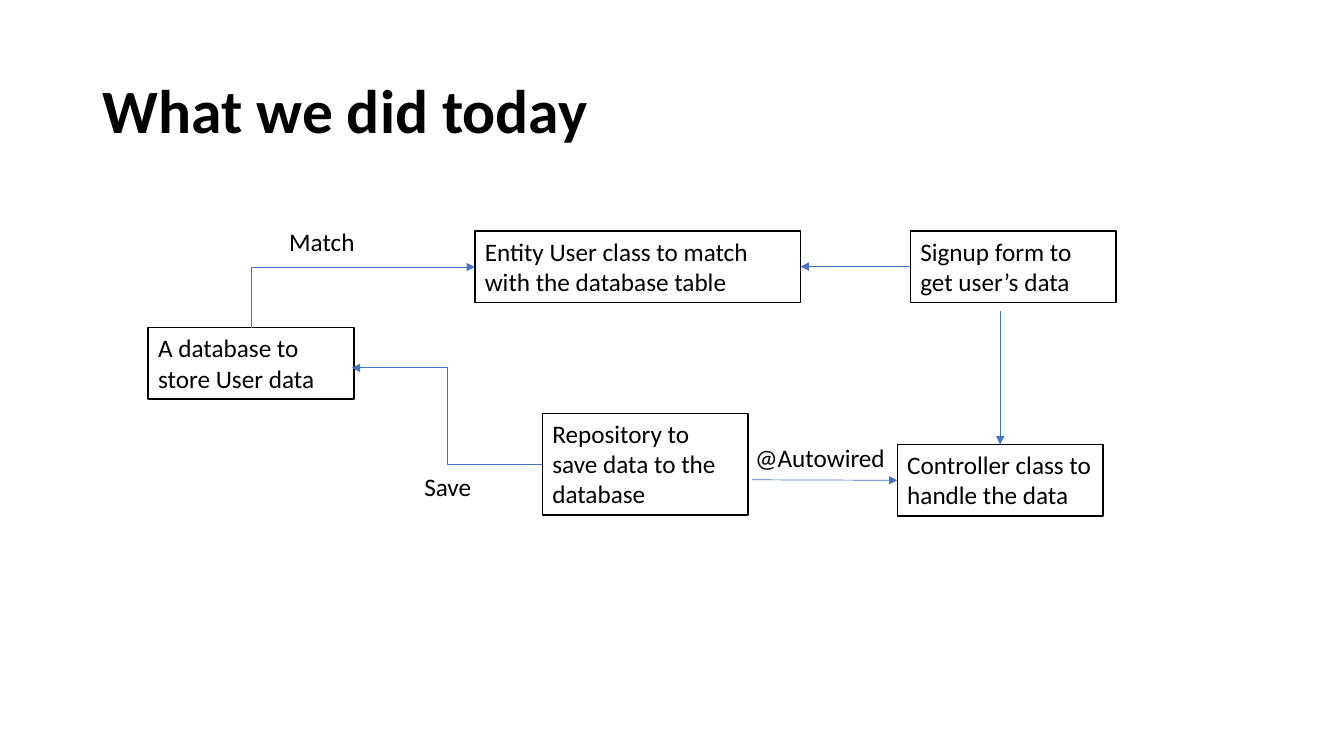
from dataclasses import dataclass

from lxml import etree
from pptx import Presentation
from pptx.dml.color import RGBColor
from pptx.enum.shapes import MSO_CONNECTOR, MSO_SHAPE
from pptx.enum.text import MSO_ANCHOR, MSO_AUTO_SIZE, PP_ALIGN
from pptx.oxml.ns import qn
from pptx.util import Inches, Pt

STRAIGHT, ELBOW = MSO_CONNECTOR.STRAIGHT, MSO_CONNECTOR.ELBOW
RECTANGLE = MSO_SHAPE.RECTANGLE
TOP, MIDDLE = MSO_ANCHOR.TOP, MSO_ANCHOR.MIDDLE
FIT_TEXT, NO_FIT = MSO_AUTO_SIZE.SHAPE_TO_FIT_TEXT, MSO_AUTO_SIZE.NONE
LEFT_ALIGNED = PP_ALIGN.LEFT
SITE_TOP, SITE_LEFT, SITE_RIGHT = 0, 1, 3


@dataclass(frozen=True)
class Theme:
    """Hold the colours, font and sizes of the slide."""
    font: str = "Calibri"
    ink: RGBColor = RGBColor(0, 0, 0)
    paper: RGBColor = RGBColor(255, 255, 255)
    arrow: RGBColor = RGBColor(0x44, 0x72, 0xC4)
    title_size: float = 44
    body_size: float = 18
    border_width: float = 1
    arrow_width: float = 0.5


@dataclass(frozen=True)
class Grid:
    """Divide a region into columns and rows."""
    left: float
    top: float
    width: float
    height: float
    columns: int
    rows: int

    def point(self, column, row):
        """Return the slide position of a grid point."""
        return (Inches(self.left + column * self.width / self.columns),
                Inches(self.top + row * self.height / self.rows))

    def area(self, column, row, columns, rows):
        """Return left, top, width and height of a grid area."""
        return (*self.point(column, row),
                Inches(columns * self.width / self.columns),
                Inches(rows * self.height / self.rows))


THEME = Theme()


def write(box, text, size=THEME.body_size, bold=False, anchor=TOP,
          fit=FIT_TEXT, spacing=1.0):
    """Put formatted text in a box."""
    frame = box.text_frame
    frame.word_wrap = True
    frame.auto_size = fit
    frame.vertical_anchor = anchor
    para = frame.paragraphs[0]
    para.alignment = LEFT_ALIGNED
    para.line_spacing = spacing
    span = para.add_run()
    span.text = text
    span.font.name = THEME.font
    span.font.size = Pt(size)
    span.font.bold = bold
    span.font.color.rgb = THEME.ink


def add_node(page, area, text):
    """Add a bordered step of the diagram."""
    node = page.shapes.add_shape(RECTANGLE, *area)
    node.shadow.inherit = False
    node.fill.solid()
    node.fill.fore_color.rgb = THEME.paper
    node.line.color.rgb = THEME.ink
    node.line.width = Pt(THEME.border_width)
    write(node, text)
    return node


def add_arrow(page, kind, start, end):
    """Add a thin connector with a triangle at its end."""
    arrow = page.shapes.add_connector(kind, *start, *end)
    arrow.line.color.rgb = THEME.arrow
    arrow.line.width = Pt(THEME.arrow_width)
    etree.SubElement(arrow.line._get_or_add_ln(), qn("a:tailEnd"), type="triangle")
    etree.SubElement(arrow.element.spPr, qn("a:effectLst"))
    return arrow


def add_corner_arrow(page, start, end):
    """Add an arrow that rises from its start, then runs right to its end."""
    (left, bottom), (right, top) = start, end
    center_x, center_y = (left + right) // 2, (top + bottom) // 2
    half_width, half_height = (bottom - top) // 2, (right - left) // 2
    arrow = add_arrow(page, ELBOW,
                      (center_x + half_width, center_y + half_height),
                      (center_x - half_width, center_y - half_height))
    arrow.element.spPr.prstGeom.set("prst", "bentConnector2")
    arrow.element.spPr.xfrm.set("rot", str(90 * 60000))


def add_title(page, grid):
    """Add the slide title across its region."""
    box = page.shapes.add_textbox(*grid.area(0, 0, grid.columns, grid.rows))
    write(box, "What we did today", size=THEME.title_size, bold=True,
          anchor=MIDDLE, fit=NO_FIT, spacing=0.9)


def add_diagram(page, grid):
    """Add the data flow from signup form to database."""
    steps = {
        "database": ((4.7, 12.5, 20.4, 7.1), "A database to store User data"),
        "entity": ((37.1, 2.9, 32.3, 7.1),
                   "Entity User class to match with the database table"),
        "signup": ((80.3, 2.9, 20.4, 7.1), "Signup form to get user’s data"),
        "controller": ((79, 24.1, 20.4, 7.1), "Controller class to handle the data"),
        "repository": ((43.8, 21, 20.4, 10.1),
                       "Repository to save data to the database"),
    }
    nodes = {name: add_node(page, grid.area(*place), text)
             for name, (place, text) in steps.items()}

    arrows = [
        ((89.2, 10.9), (89.2, 24.1), None, ("controller", SITE_TOP)),
        ((64.6, 27.6), (79, 27.6), None, ("controller", SITE_LEFT)),
        ((80.3, 6.5), (69.4, 6.5), ("signup", SITE_LEFT), ("entity", SITE_RIGHT)),
    ]
    for start, end, source, target in arrows:
        arrow = add_arrow(page, STRAIGHT, grid.point(*start), grid.point(*end))
        if source:
            arrow.begin_connect(nodes[source[0]], source[1])
        arrow.end_connect(nodes[target[0]], target[1])
    add_arrow(page, ELBOW, grid.point(43.8, 26.1), grid.point(24.9, 16.5))
    add_corner_arrow(page, grid.point(14.9, 12.5), grid.point(37.1, 6.5))

    labels = [("Match", 17.7, 2, 12.3, True), ("Save", 31.1, 26.3, 12.3, True),
              ("@Autowired", 63.9, 23.4, 15.8, False)]
    for text, column, row, columns, filled in labels:
        label = page.shapes.add_textbox(*grid.area(column, row, columns, 4))
        if filled:
            label.fill.solid()
            label.fill.fore_color.rgb = THEME.paper
        write(label, text)


def main():
    """Build and save the slide."""
    deck = Presentation()
    deck.slide_width, deck.slide_height = Inches(13.33), Inches(7.5)
    page = deck.slides.add_slide(deck.slide_layouts[6])
    page.background.fill.solid()
    page.background.fill.fore_color.rgb = THEME.paper
    add_title(page, Grid(0.92, 0.4, 11.5, 1.45, columns=1, rows=1))
    add_diagram(page, Grid(1, 2, 11, 4, columns=110, rows=40))
    deck.save("out.pptx")


if __name__ == "__main__":
    main()
